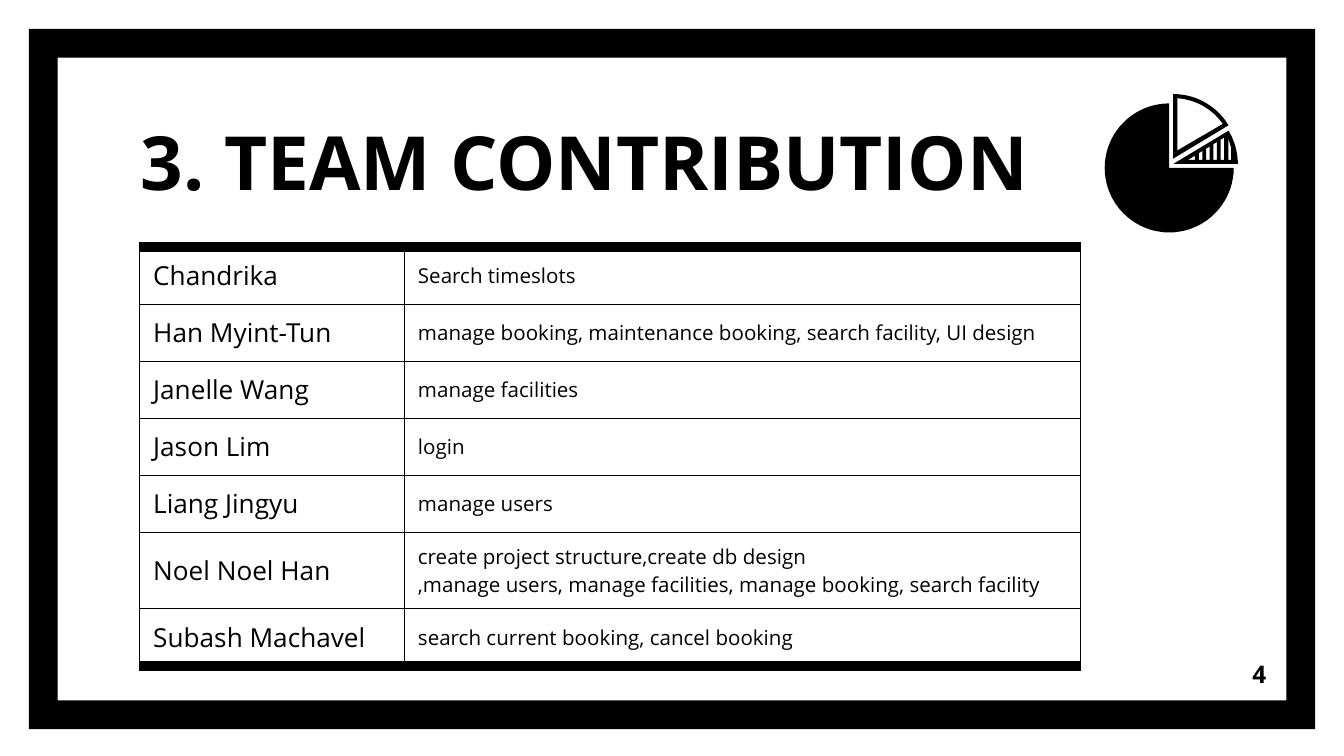
from math import cos, radians, sin

from lxml.etree import SubElement
from pptx import Presentation
from pptx.dml.color import RGBColor
from pptx.enum.shapes import MSO_SHAPE as Shape
from pptx.enum.text import MSO_ANCHOR as Anchor, PP_ALIGN as Align
from pptx.oxml.ns import qn
from pptx.util import Inches, Pt

TITLE = "3. TEAM CONTRIBUTION"
PAGE_NUMBER = "4"
TEAM = [
    ("Chandrika", ["Search timeslots"]),
    ("Han Myint-Tun", ["manage booking, maintenance booking, search facility, UI design"]),
    ("Janelle Wang", ["manage facilities"]),
    ("Jason Lim", ["login"]),
    ("Liang Jingyu", ["manage users"]),
    ("Noel Noel Han", [
        "create project structure,create db design",
        ",manage users, manage facilities, manage booking, search facility",
    ]),
    ("Subash Machavel", ["search current booking, cancel booking"]),
]
WIDTH = 10
HEIGHT = WIDTH * 9 / 16
BORDER_WIDTH, BORDER_HEIGHT = 9.57, 5.21
COLUMNS = (1.97, 5.03)
ROW, TALL_ROW = 2.97 / 7, 0.57
TABLE_LEFT, TABLE_TOP = 1.04, 1.84
THIN, THICK = 0.75, 6
BLACK = "000000"
FONT = "Open Sans"
RADIUS = 0.48
SLICE_ANGLE = 31
UNITS = 1000


def color(code):
    return RGBColor.from_string(code)


def write(frame, lines, size, bold=False, align=Align.LEFT):
    frame.word_wrap = True
    for index, line in enumerate(lines):
        para = frame.paragraphs[0] if index == 0 else frame.add_paragraph()
        para.alignment = align
        span = para.add_run()
        span.text = line
        span.font.name = FONT
        span.font.size = Pt(size)
        span.font.bold = bold
        span.font.color.rgb = color(BLACK)


def add_text(page, place, text, size, anchor, **style):
    frame = page.shapes.add_textbox(*map(Inches, place)).text_frame
    frame.margin_left = frame.margin_right = Inches(0.1)
    frame.margin_top = frame.margin_bottom = Inches(0.1)
    frame.vertical_anchor = anchor
    write(frame, [text], size, **style)


def paint(shape):
    shape.shadow.inherit = False
    shape.fill.solid()
    shape.fill.fore_color.rgb = color(BLACK)
    shape.line.fill.background()


def set_borders(cell, **widths):
    properties = cell._tc.get_or_add_tcPr()
    for side, width in widths.items():
        line = SubElement(properties, qn(f"a:ln{side}"), w=str(Pt(width)))
        fill = SubElement(line, qn("a:solidFill"))
        SubElement(fill, qn("a:srgbClr"), val=BLACK)


def add_team_table(page):
    heights = [TALL_ROW if len(tasks) > 1 else ROW for _, tasks in TEAM]
    place = TABLE_LEFT, TABLE_TOP, sum(COLUMNS), sum(heights)
    table = page.shapes.add_table(len(TEAM), len(COLUMNS), *map(Inches, place)).table
    table.first_row = table.horz_banding = False
    for column, width in zip(table.columns, COLUMNS):
        column.width = Inches(width)
    last = len(TEAM) - 1
    for index, (name, tasks) in enumerate(TEAM):
        table.rows[index].height = Inches(heights[index])
        for column, (lines, size) in enumerate([([name], 14), (tasks, 11)]):
            cell = table.cell(index, column)
            cell.margin_left = cell.margin_right = Inches(0.1)
            cell.margin_top = cell.margin_bottom = Inches(0.07)
            cell.vertical_anchor = Anchor.MIDDLE
            write(cell.text_frame, lines, size)
            set_borders(cell, L=THIN, R=THIN,
                        T=THICK if index == 0 else THIN,
                        B=THICK if index == last else THIN)
            cell.fill.background()


def arc(center, radius, start, end, steps=24):
    x, y = center
    angles = [radians(start + (end - start) * step / steps) for step in range(steps + 1)]
    return [(x + radius * cos(angle), y - radius * sin(angle)) for angle in angles]


def add_outline(page, *contours):
    scaled = [[(x * UNITS, y * UNITS) for x, y in contour] for contour in contours]
    builder = page.shapes.build_freeform(*scaled[0][0], scale=Inches(1) / UNITS)
    for index, contour in enumerate(scaled):
        if index:
            builder.move_to(*contour[0])
        builder.add_line_segments(contour[1:], close=True)
    paint(builder.convert_to_shape())


def stripe_gaps(left, bottom, slope=0.62, step=0.054, width=0.026):
    gaps = [[(left, bottom), (left + 0.05, bottom - 0.03), (left + 0.05, bottom)]]
    for index in range(4):
        start = left + 0.08 + index * step
        end = start + width
        gaps.append([(start, bottom), (start, bottom - slope * (start - left)),
                     (end, bottom - slope * (end - left)), (end, bottom)])
    start = left + 0.3
    gaps.append([(start, bottom), (start, bottom - 0.16),
                 (start + 0.02, bottom - 0.09), (start + 0.02, bottom)])
    return gaps


def add_pie_icon(page):
    main, striped, hollow = (8.7, 1.25), (8.73, 1.22), (8.73, 1.18)
    add_outline(page, [main] + arc(main, RADIUS, 90, 360, 60))
    add_outline(page, [striped] + arc(striped, RADIUS, SLICE_ANGLE, 0),
                *stripe_gaps(8.84, 1.19))
    add_outline(page, [hollow] + arc(hollow, RADIUS, 90, SLICE_ANGLE),
                [(8.76, 1.12)] + arc(hollow, RADIUS - 0.03, 86, 35))


def main():
    deck = Presentation()
    deck.slide_width, deck.slide_height = Inches(WIDTH), Inches(HEIGHT)
    page = deck.slides.add_slide(deck.slide_layouts[6])
    margin = (WIDTH - BORDER_WIDTH) / 2
    place = margin, margin, BORDER_WIDTH, BORDER_HEIGHT
    border = page.shapes.add_shape(Shape.FRAME, *map(Inches, place))
    border.adjustments[0] = 0.041
    paint(border)
    add_text(page, (0.95, 0.81, 6.91, 0.82), TITLE, 40, Anchor.BOTTOM, bold=True)
    add_team_table(page)
    add_pie_icon(page)
    add_text(page, (8.92, 4.8, 0.6, 0.43), PAGE_NUMBER, 13, Anchor.MIDDLE,
             bold=True, align=Align.RIGHT)
    deck.save("out.pptx")


if __name__ == "__main__":
    main()
